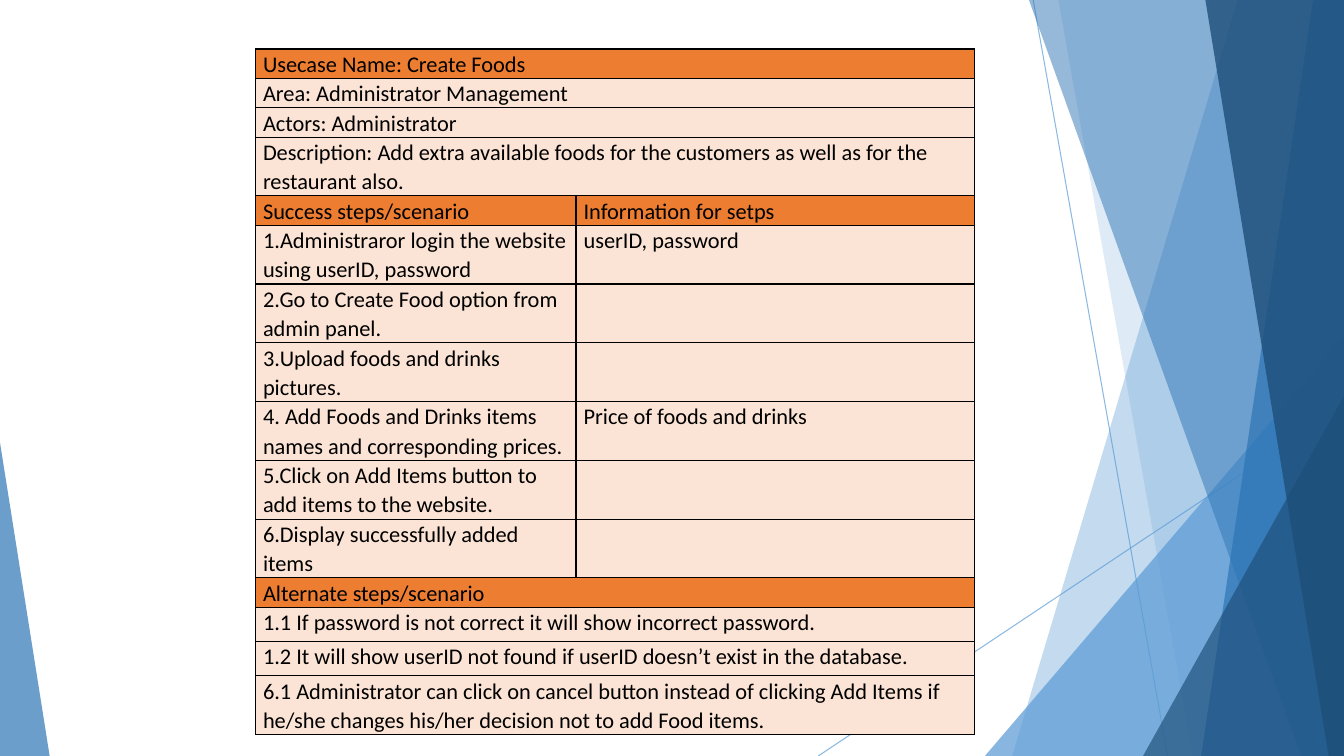
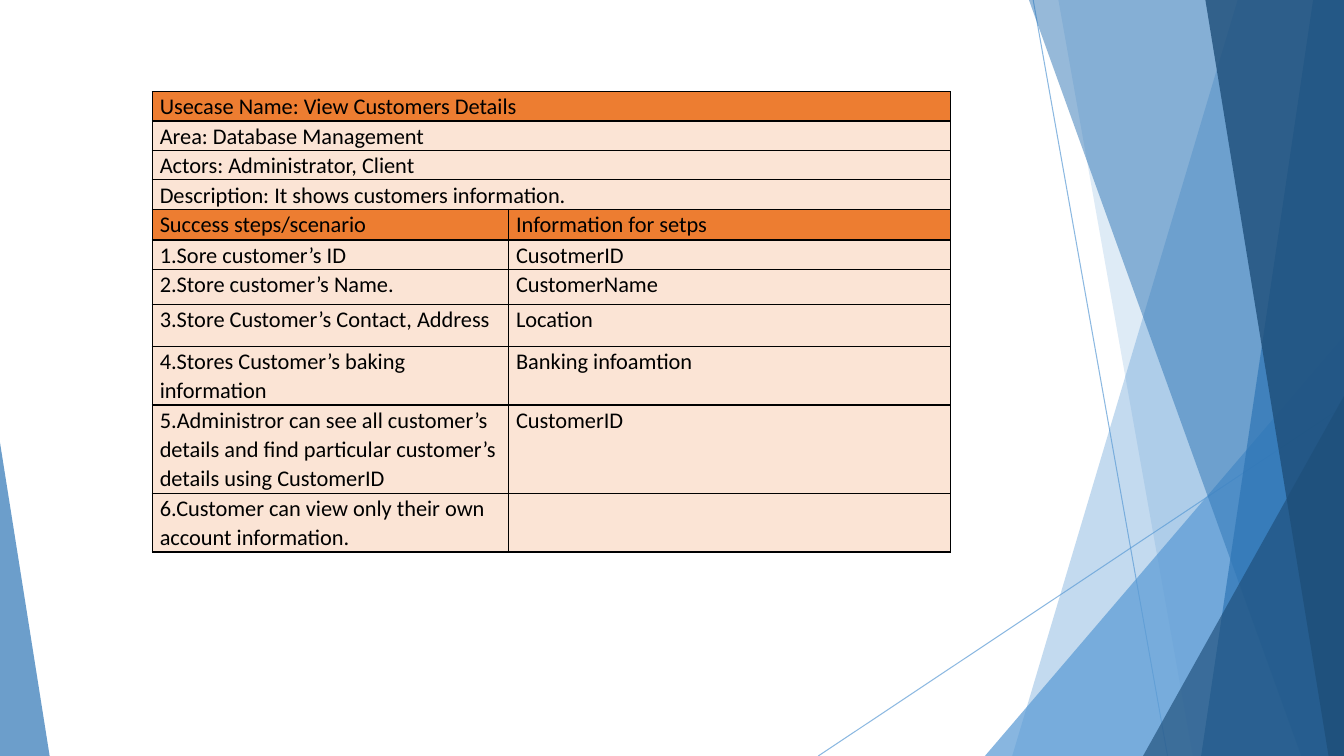
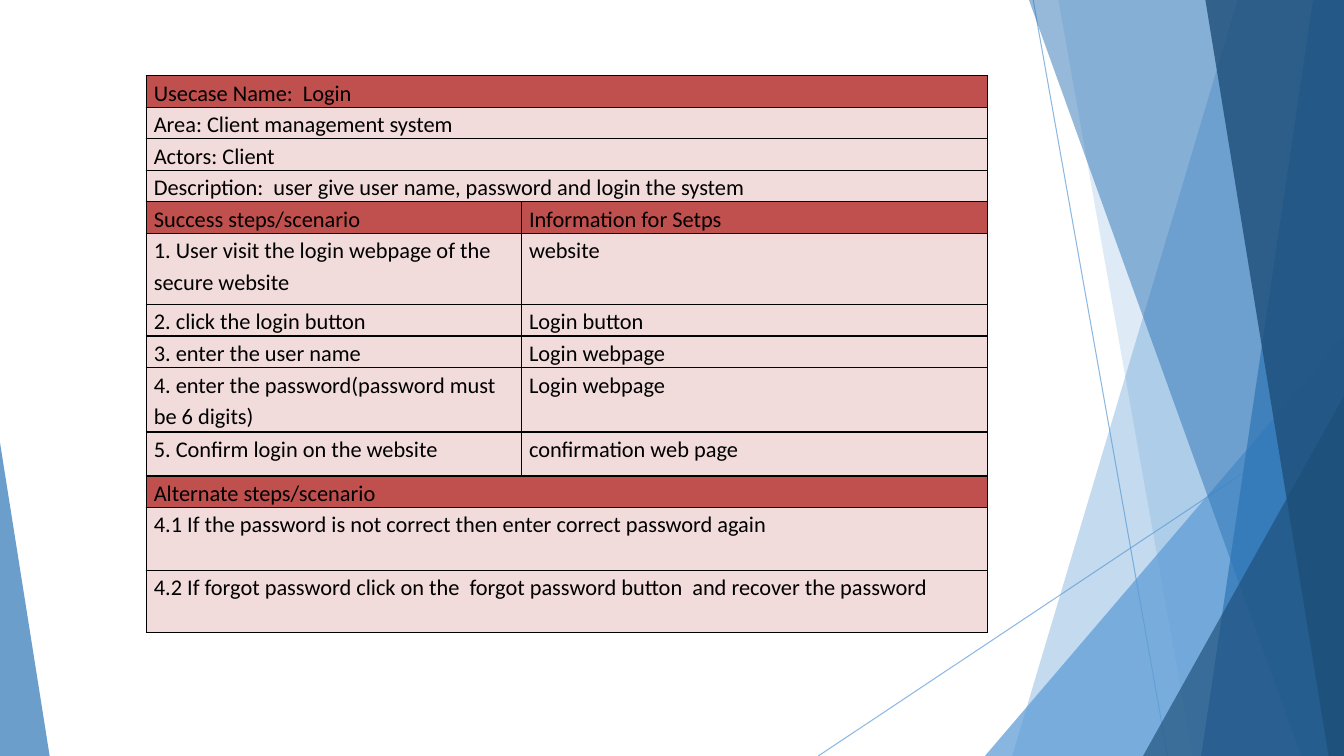
import pptx
import pptx.util
import pptx.dml.color
import pptx.enum.shapes
import pptx.oxml
import pptx.oxml.ns

Pt = pptx.util.Pt
RGB = pptx.dml.color.RGBColor
qn = pptx.oxml.ns.qn

WIDTH, HEIGHT = 960, 540
FONT, TEXT_SIZE, INSET = "Calibri", 16, 5.4

BLACK = RGB(0x00, 0x00, 0x00)
LIGHT_BLUE = RGB(0x5B, 0x9B, 0xD5)
MID_BLUE = RGB(0x2E, 0x75, 0xB5)
DARK_BLUE = RGB(0x1E, 0x4E, 0x79)
ORANGE, PEACH = RGB(0xED, 0x7D, 0x31), RGB(0xFB, 0xE4, 0xD5)
RED, PINK = RGB(0xC0, 0x50, 0x4D), RGB(0xF2, 0xDB, 0xDB)


# Shared backdrop of translucent facets
def set_alpha(part, percent):
    color = next(part._element.spPr.iter(qn("a:srgbClr")))
    color.append(pptx.oxml.parse_xml(
        f'<a:alpha {pptx.oxml.ns.nsdecls("a")} val="{percent * 1000}"/>'))


def paint(facet, color, percent):
    facet.shadow.inherit = False
    facet.line.fill.background()
    facet.fill.solid()
    facet.fill.fore_color.rgb = color
    set_alpha(facet, percent)


def add_ray(shapes, x1, y1, x2, y2):
    ray = shapes.add_connector(pptx.enum.shapes.MSO_CONNECTOR.STRAIGHT,
                               Pt(x1), Pt(y1), Pt(x2), Pt(y2))
    ray.line.width = Pt(0.75)
    ray.line.color.rgb = LIGHT_BLUE
    set_alpha(ray, 70)
    ray._element.spPr.append(pptx.oxml.parse_xml(
        f'<a:effectLst {pptx.oxml.ns.nsdecls("a")}/>'))


def add_band(shapes, top_x, bottom_x, color, percent):
    """Facet from a slanted left edge to the right side of the slide."""
    outline = shapes.build_freeform(Pt(top_x), Pt(0), scale=1.0)
    outline.add_line_segments([(Pt(WIDTH), Pt(0)), (Pt(WIDTH), Pt(HEIGHT)),
                               (Pt(bottom_x), Pt(HEIGHT))], close=True)
    paint(outline.convert_to_shape(), color, percent)


def add_corner(shapes, left, top, width, apex, color, percent):
    """Right-angled facet standing on the bottom of the slide."""
    corner = shapes.add_shape(pptx.enum.shapes.MSO_SHAPE.ISOSCELES_TRIANGLE,
                              Pt(left), Pt(top), Pt(width), Pt(HEIGHT - top))
    corner.adjustments[0] = apex
    paint(corner, color, percent)


def add_backdrop(slide, layout):
    """Draw the facets once and place them on the layout."""
    backdrop = slide.shapes.add_group_shape()
    shapes = backdrop.shapes
    add_ray(shapes, 738, 0, 834, HEIGHT)
    add_ray(shapes, WIDTH, 290, 584.5, HEIGHT)
    add_band(shapes, 884, 723, LIGHT_BLUE, 36)
    add_band(shapes, 756, 852, LIGHT_BLUE, 20)
    add_corner(shapes, 703.5, 240, WIDTH - 703.5, 1, LIGHT_BLUE, 72)
    add_band(shapes, 735, 929.5, MID_BLUE, 50)
    add_band(shapes, 938, 858, MID_BLUE, 70)
    add_band(shapes, 861, 949, DARK_BLUE, 80)
    add_corner(shapes, 816.5, 283, WIDTH - 816.5, 1, DARK_BLUE, 66)
    add_corner(shapes, 0, 316, 35.5, 0, MID_BLUE, 70)
    for placeholder in list(layout.placeholders):
        placeholder._element.getparent().remove(placeholder._element)
    layout.shapes._spTree.append(backdrop._element)


# Use-case table
def add_borders(cell):
    properties = cell._tc.get_or_add_tcPr()
    for side in ("lnL", "lnR", "lnT", "lnB"):
        properties.append(pptx.oxml.parse_xml(
            f'<a:{side} {pptx.oxml.ns.nsdecls("a")} w="12700"><a:solidFill>'
            f'<a:srgbClr val="{BLACK}"/></a:solidFill></a:{side}>'))


def fill_cell(cell, text, color, spacing):
    add_borders(cell)
    cell.fill.solid()
    cell.fill.fore_color.rgb = color
    cell.margin_left = cell.margin_right = Pt(INSET)
    cell.margin_top = cell.margin_bottom = 0
    if text:
        paragraph = cell.text_frame.paragraphs[0]
        paragraph.line_spacing = spacing
        run = paragraph.add_run()
        run.text = text
        run.font.name = FONT
        run.font.size = Pt(TEXT_SIZE)
        run.font.color.rgb = BLACK


def add_use_case(slide, left, top, widths, rows, head_color, body_color, spacing):
    """Each row is (height, is_heading, texts); one text spans both columns."""
    grid = slide.shapes.add_table(len(rows), len(widths), Pt(left), Pt(top), Pt(sum(widths)),
                                  Pt(sum(row[0] for row in rows))).table
    grid.first_row = grid.horz_banding = False
    for column, width in zip(grid.columns, widths):
        column.width = Pt(width)
    for index, (height, is_heading, texts) in enumerate(rows):
        grid.rows[index].height = Pt(height)
        color = head_color if is_heading else body_color
        for col in range(len(widths)):
            text = texts[col] if col < len(texts) else ""
            fill_cell(grid.cell(index, col), text, color, spacing)
        if len(texts) == 1:
            grid.cell(index, 0).merge(grid.cell(index, 1))


def head(height, *texts):
    return height, True, texts


def body(height, *texts):
    return height, False, texts


# Heights of one text line at each table's line spacing
LINE = 21
LOOSE_LINE = 22.5

CREATE_FOODS = [
    head(LINE, "Usecase Name: Create Foods"),
    body(LINE, "Area: Administrator Management"),
    body(LINE, "Actors: Administrator"),
    body(2 * LINE, "Description: Add extra available foods for the customers "
                   "as well as for the restaurant also."),
    head(LINE, "Success steps/scenario", "Information for setps"),
    body(2 * LINE, "1.Administraror login the website using userID, password",
         "userID, password"),
    body(2 * LINE, "2.Go to Create Food option from admin panel.", ""),
    body(2 * LINE, "3.Upload foods and drinks pictures.", ""),
    body(2 * LINE, "4. Add Foods and Drinks items names and corresponding prices.",
         "Price of foods and drinks"),
    body(2 * LINE, "5.Click on Add Items button to add items to the website.", ""),
    body(2 * LINE, "6.Display successfully added items", ""),
    head(LINE, "Alternate steps/scenario"),
    body(24.5, "1.1 If password is not correct it will show incorrect password."),
    body(24.5, "1.2 It will show userID not found if userID doesn’t exist in the database."),
    body(2 * LINE, "6.1 Administrator can click on cancel button instead of clicking "
                   "Add Items if he/she changes his/her decision not to add Food items."),
]

VIEW_CUSTOMERS = [
    head(LINE, "Usecase Name: View Customers Details"),
    body(LINE, "Area: Database Management"),
    body(LINE, "Actors: Administrator, Client"),
    body(LINE, "Description: It shows customers information."),
    head(22, "Success steps/scenario", "Information for setps"),
    body(LINE, "1.Sore customer’s ID", "CusotmerID"),
    body(25, "2.Store customer’s Name.", "CustomerName"),
    body(30, "3.Store Customer’s Contact, Address", "Location"),
    body(2 * LINE, "4.Stores Customer’s baking information", "Banking infoamtion"),
    body(3 * LINE, "5.Administror can see all customer’s details and find particular "
                   "customer’s details using CustomerID", "CustomerID"),
    body(2 * LINE, "6.Customer can view only their own account information.", ""),
]

LOGIN = [
    head(LOOSE_LINE, "Usecase Name:  Login"),
    body(LOOSE_LINE, "Area: Client management system"),
    body(LOOSE_LINE, "Actors: Client"),
    body(LOOSE_LINE, "Description:  user give user name, password and login the system"),
    head(LOOSE_LINE, "Success steps/scenario", "Information for Setps"),
    body(51, "1. User visit the login webpage of the secure website", "website"),
    body(LOOSE_LINE, "2. click the login button", "Login button"),
    body(LOOSE_LINE, "3. enter the user name", "Login webpage"),
    body(46, "4. enter the password(password must be 6 digits)", "Login webpage"),
    body(31.5, "5. Confirm login on the website", "confirmation web page"),
    head(LOOSE_LINE, "Alternate steps/scenario"),
    body(45, "4.1 If the password is not correct then enter correct password again"),
    body(44, "4.2 If forgot password click on the  forgot password button  "
             "and recover the password"),
]

# left, top, column widths, rows, heading colour, body colour, line spacing
USE_CASES = [
    (182.5, 35, (229, 284.5), CREATE_FOODS, ORANGE, PEACH, 1.07),
    (108.75, 65.5, (254.5, 316), VIEW_CUSTOMERS, ORANGE, PEACH, 1.07),
    (104.5, 54, (268, 333), LOGIN, RED, PINK, 1.15),
]


def main():
    deck = pptx.Presentation()
    deck.slide_width, deck.slide_height = Pt(WIDTH), Pt(HEIGHT)
    blank = deck.slide_layouts[6]
    for number, use_case in enumerate(USE_CASES):
        slide = deck.slides.add_slide(blank)
        if number == 0:
            add_backdrop(slide, blank)
        add_use_case(slide, *use_case)
    deck.save("out.pptx")


if __name__ == "__main__":
    main()
